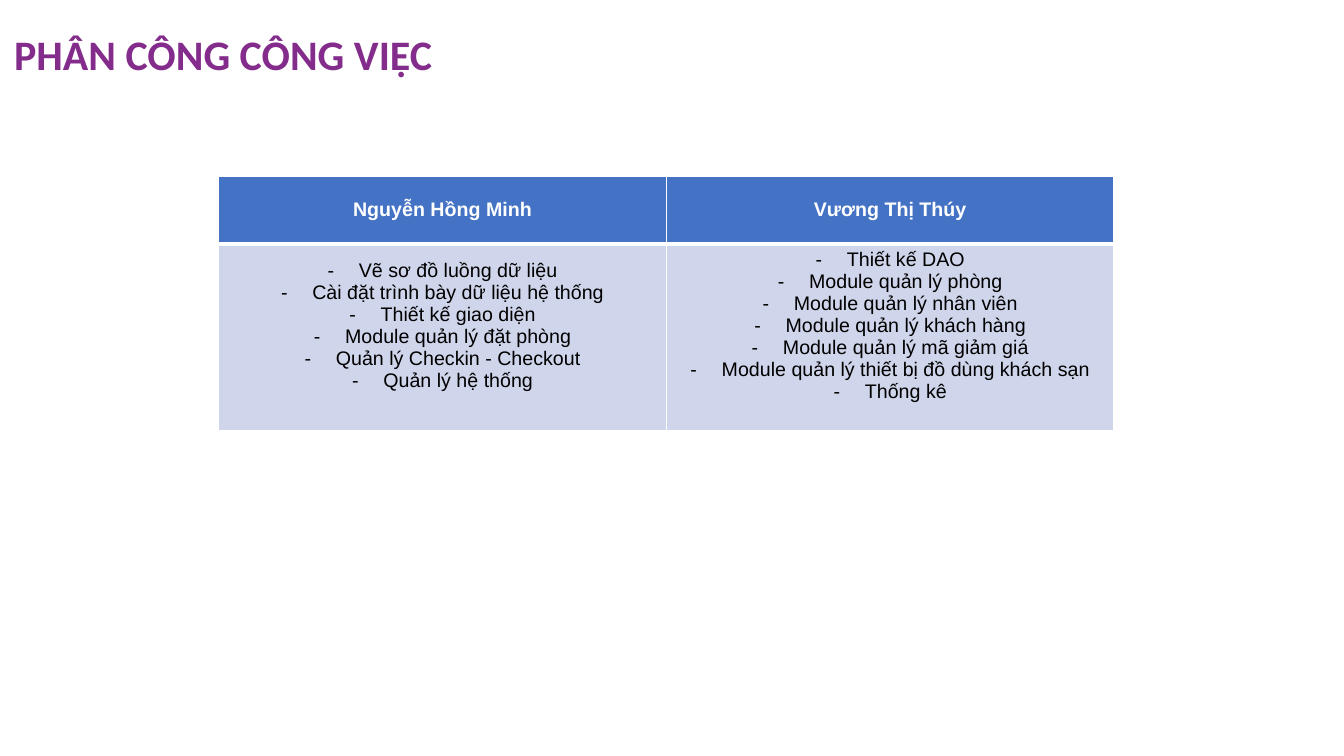
from dataclasses import dataclass

from lxml.etree import SubElement
from pptx import Presentation
from pptx.dml.color import RGBColor
from pptx.enum.text import MSO_ANCHOR as Anchor, PP_ALIGN as Align
from pptx.oxml import parse_xml
from pptx.oxml.ns import nsdecls, qn
from pptx.util import Inches, Pt


@dataclass(frozen=True)
class Theme:
    title_font: str = "Calibri"
    table_font: str = "Arial"
    title_size: int = 30
    table_size: int = 14
    purple: str = "832C8B"
    header_fill: str = "4472C4"
    body_fill: str = "CFD5EA"
    white: str = "FFFFFF"
    black: str = "000000"


THEME = Theme()

TASKS = {
    "Nguyễn Hồng Minh": [
        "Vẽ sơ đồ luồng dữ liệu",
        "Cài đặt trình bày dữ liệu hệ thống",
        "Thiết kế giao diện",
        "Module quản lý đặt phòng",
        "Quản lý Checkin - Checkout",
        "Quản lý hệ thống",
    ],
    "Vương Thị Thúy": [
        "Thiết kế DAO",
        "Module quản lý phòng",
        "Module quản lý nhân viên",
        "Module quản lý khách hàng",
        "Module quản lý mã giảm giá",
        "Module quản lý thiết bị đồ dùng khách sạn",
        "Thống kê",
    ],
}


def write(para, text, *, font=THEME.table_font, size=THEME.table_size,
          color=THEME.black, bold=False, align=Align.CENTER):
    para.alignment = align
    span = para.add_run()
    span.text = text
    span.font.name = font
    span.font.size = Pt(size)
    span.font.bold = bold
    span.font.color.rgb = RGBColor.from_string(color)


def add_dash(para, indent):
    """Give the paragraph a dash bullet with a hanging indent."""
    props = para._p.get_or_add_pPr()
    props.set("marL", str(indent))
    props.set("indent", str(-indent))
    SubElement(props, qn("a:buFont"), typeface=THEME.table_font)
    SubElement(props, qn("a:buChar"), char="-")


def style_cell(cell, fill, top=1, bottom=1):
    """Fill the cell and draw white borders, with widths in points."""
    cell.vertical_anchor = Anchor.MIDDLE
    cell.fill.solid()
    cell.fill.fore_color.rgb = RGBColor.from_string(fill)
    props = cell._tc.get_or_add_tcPr()
    widths = {"lnL": 1, "lnR": 1, "lnT": top, "lnB": bottom}
    for place, (side, width) in enumerate(widths.items()):
        props.insert(place, parse_xml(
            f'<a:{side} {nsdecls("a")} w="{Pt(width)}"><a:solidFill>'
            f'<a:srgbClr val="{THEME.white}"/></a:solidFill></a:{side}>'))


def place_title(page, text, left, top, width, height):
    title = page.shapes.title
    title.left, title.top = Inches(left), Inches(top)
    title.width, title.height = Inches(width), Inches(height)
    frame = title.text_frame
    frame.word_wrap = True
    frame.vertical_anchor = Anchor.MIDDLE
    frame.margin_left = frame.margin_right = Inches(0.1)
    frame.margin_top = frame.margin_bottom = Inches(0.1)
    para = frame.paragraphs[0]
    para.line_spacing = 0.9
    write(para, text, font=THEME.title_font, size=THEME.title_size,
          color=THEME.purple, bold=True, align=Align.LEFT)


def place_task_table(page, tasks, left, top, width, row_heights):
    table = page.shapes.add_table(
        len(row_heights), len(tasks), Inches(left), Inches(top),
        Inches(width), Inches(sum(row_heights))).table
    for row, height in zip(table.rows, row_heights):
        row.height = Inches(height)
    for column, (member, duties) in enumerate(tasks.items()):
        table.columns[column].width = Inches(width / len(tasks))
        header, body = table.cell(0, column), table.cell(1, column)
        style_cell(header, THEME.header_fill, bottom=3)
        write(header.text_frame.paragraphs[0], member,
              color=THEME.white, bold=True)

        style_cell(body, THEME.body_fill, top=3)
        body.margin_bottom = Inches(0.27)
        frame = body.text_frame
        for index, duty in enumerate(duties):
            para = frame.add_paragraph() if index else frame.paragraphs[0]
            write(para, duty)
            add_dash(para, Inches(0.31))


def main():
    deck = Presentation()
    deck.slide_width, deck.slide_height = Inches(13.33), Inches(7.5)
    title_only = deck.slide_layouts[5]
    page = deck.slides.add_slide(title_only)
    place_title(page, "PHÂN CÔNG CÔNG VIỆC", 0.04, 0, 11.5, 1.12)
    place_task_table(page, TASKS, 2.17, 1.75, 8.88, (0.67, 1.84))
    deck.save("out.pptx")


if __name__ == "__main__":
    main()
